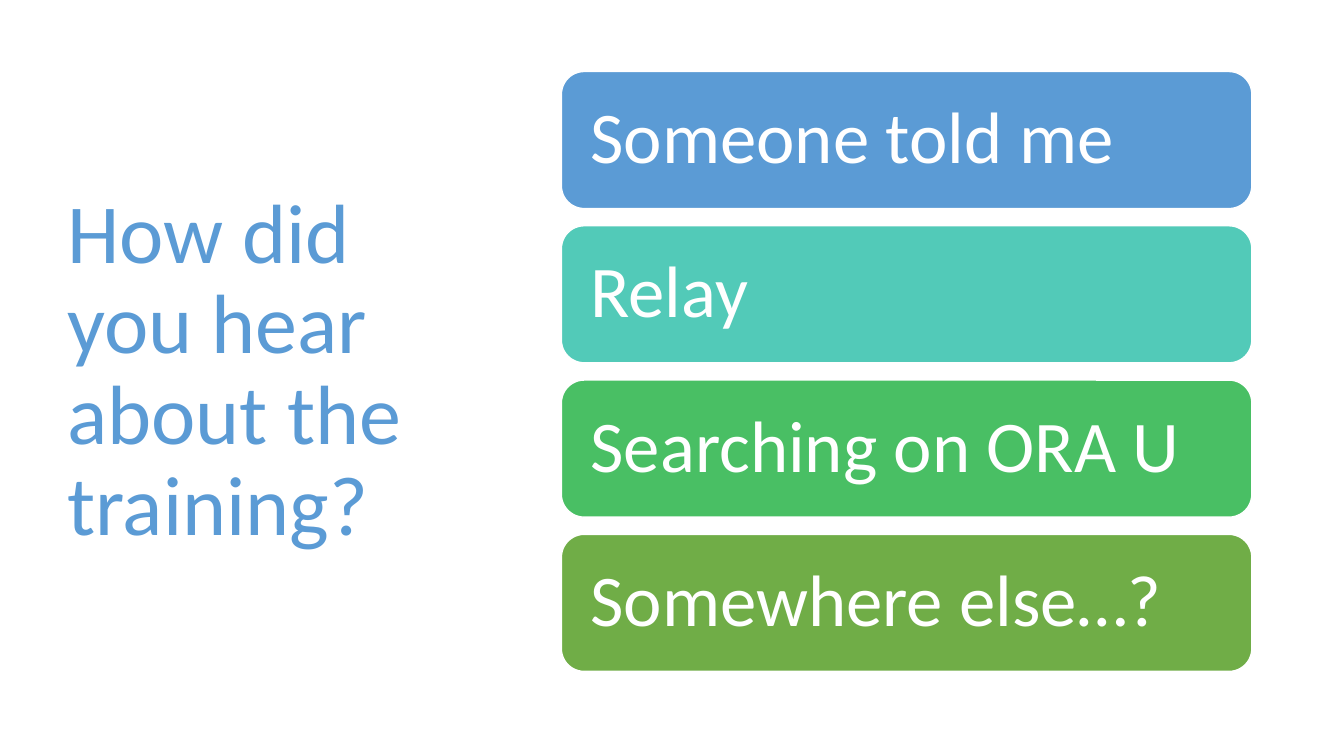
from pptx import Presentation
from pptx.dml.color import RGBColor
from pptx.enum.shapes import MSO_SHAPE as Shape
from pptx.enum.text import MSO_ANCHOR as Anchor, PP_ALIGN as Align
from pptx.util import Pt

# Content
QUESTION = "How did you hear about the training?"
ANSWERS = [
    ("Someone told me", "blue"),
    ("Relay", "teal"),
    ("Searching on ORA U", "green"),
    ("Somewhere else…?", "olive"),
]
COLORS = {
    "blue": "5B9BD5",
    "teal": "52CAB8",
    "green": "49BF64",
    "olive": "70AD47",
    "white": "FFFFFF",
}

# Layout in points
QUESTION_BOX = (41, 49, 299.5, 433.4)
BAR_LEFT, BAR_TOP, BAR_WIDTH, BAR_HEIGHT = 401, 51.1, 493.2, 97.9
BAR_GAP = 12.3


def color(name):
    return RGBColor.from_string(COLORS[name])


def write(shape, text, *, size, ink, inset_x, inset_y, font="Calibri"):
    frame = shape.text_frame
    frame.word_wrap = True
    frame.vertical_anchor = Anchor.MIDDLE
    frame.margin_left = frame.margin_right = Pt(inset_x)
    frame.margin_top = frame.margin_bottom = Pt(inset_y)
    para = frame.paragraphs[0]
    para.alignment = Align.LEFT
    para.line_spacing = 0.9
    span = para.add_run()
    span.text = text
    span.font.name = font
    span.font.size = Pt(size)
    span.font.color.rgb = color(ink)


deck = Presentation()
deck.slide_width, deck.slide_height = Pt(960), Pt(540)
page = deck.slides.add_slide(deck.slide_layouts[6])

# Question on the left
box = page.shapes.add_textbox(*map(Pt, QUESTION_BOX))
write(box, QUESTION, size=60, ink="blue", inset_x=7.2, inset_y=3.6)

# Answer bars on the right
for row, (answer, fill) in enumerate(ANSWERS):
    top = BAR_TOP + row * (BAR_HEIGHT + BAR_GAP)
    bar = page.shapes.add_shape(
        Shape.ROUNDED_RECTANGLE,
        Pt(BAR_LEFT), Pt(top), Pt(BAR_WIDTH), Pt(BAR_HEIGHT),
    )
    bar.shadow.inherit = False
    bar.fill.solid()
    bar.fill.fore_color.rgb = color(fill)
    bar.line.color.rgb = color("white")
    bar.line.width = Pt(1)
    # The rounded corners add their own text inset of about 4.8 points
    write(bar, answer, size=52, ink="white", inset_x=16.1, inset_y=0)

deck.save("out.pptx")
